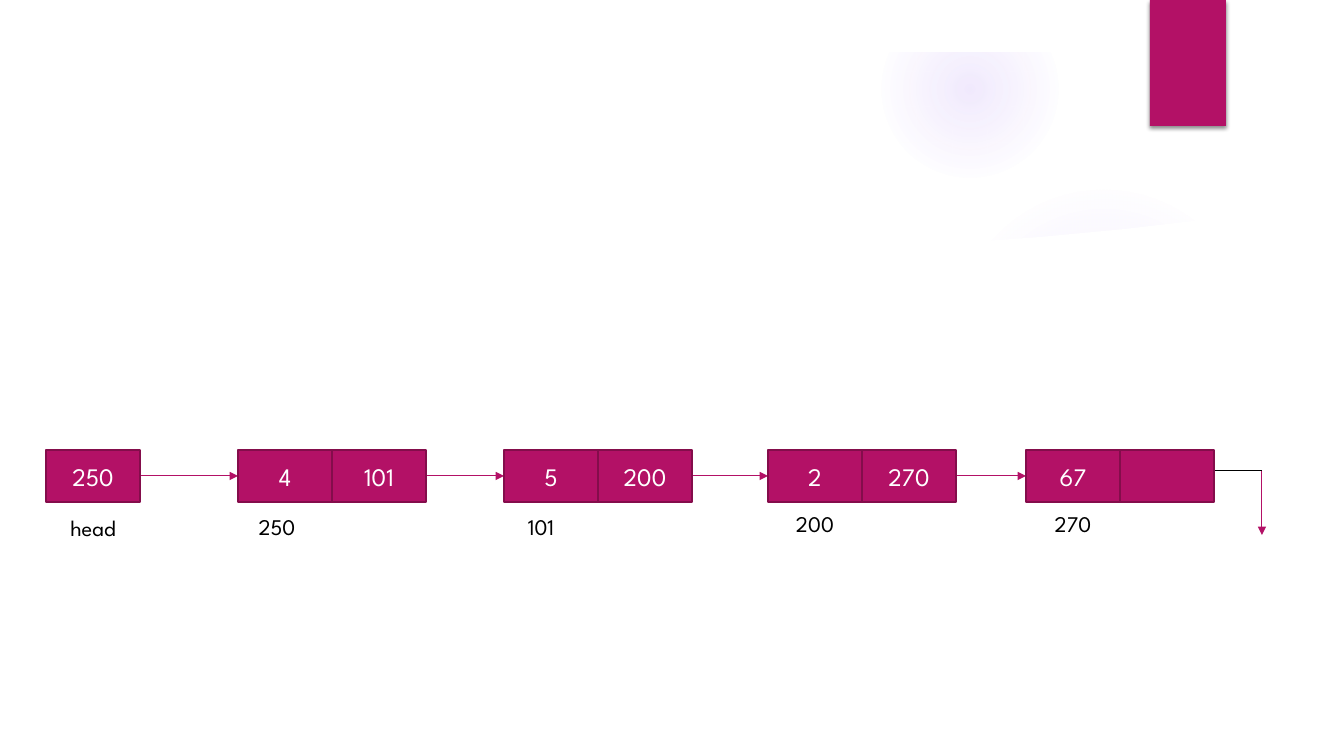
import pptx
import pptx.dml.color
import pptx.enum.shapes
import pptx.enum.text
import pptx.oxml
import pptx.oxml.ns
import pptx.util

# Each node: (left, cell texts, label, label left, label top)
NODES = [
    (46, ["250"], "head", 46, 515),
    (238, ["4", "101"], "250", 230, 514),
    (504, ["5", "200"], "101", 494, 514),
    (768, ["2", "270"], "200", 768, 511),
    (1026, ["67", ""], "270", 1026, 511),
]
CELL_WIDTH, CELL_HEIGHT, CELL_TOP = 94, 52, 450
LABEL_HEIGHT = 25
NULL_X, NULL_TOP, NULL_BOTTOM = 1262, 471, 535

# Each glow: (left, top, size, [(stop percent, opacity percent)])
GLOWS = [
    (949, 184, 310, [(0, 7), (36, 6), (69, 0)]),
    (882, 1, 176, [(0, 14), (36, 7), (73, 0)]),
]
WAVE = [
    (50, 206), (136, 215), (252, 226), (404, 238), (539, 245), (688, 250),
    (847, 248), (957, 243), (1040, 237), (1125, 229), (1210, 219),
    (1294, 206), (1294, 706), (50, 706),
]

PX = 914400 / 100.8
FONT = "League Spartan"
MAGENTA = pptx.dml.color.RGBColor(0xB3, 0x11, 0x66)
PLUM = pptx.dml.color.RGBColor(0x84, 0x0D, 0x4B)
VIOLET = pptx.dml.color.RGBColor(0x9B, 0x6B, 0xF2)
WHITE = pptx.dml.color.RGBColor(0xFF, 0xFF, 0xFF)
BLACK = pptx.dml.color.RGBColor(0, 0, 0)
SHAPES = pptx.enum.shapes.MSO_SHAPE
NAMESPACE = pptx.oxml.ns.nsdecls("a")


def emu(*lengths):
    return [round(length * PX) for length in lengths]


def paint(shape, fill, line=None):
    shape.shadow.inherit = False
    shape.fill.solid()
    shape.fill.fore_color.rgb = fill
    if line is None:
        shape.line.fill.background()
    else:
        shape.line.color.rgb = line
        shape.line.width = pptx.util.Pt(1.5)


def add_box(page, left, top, width, height, fill, line=None):
    box = page.shapes.add_shape(SHAPES.RECTANGLE, *emu(left, top, width, height))
    paint(box, fill, line)
    return box


def write(box, text, size, color):
    box.text_frame.text = text
    box.text_frame.vertical_anchor = pptx.enum.text.MSO_ANCHOR.MIDDLE
    para = box.text_frame.paragraphs[0]
    para.alignment = pptx.enum.text.PP_ALIGN.CENTER
    for span in para.runs:
        span.font.name = FONT
        span.font.size = pptx.util.Pt(size)
        span.font.color.rgb = color


def add_glow(page, left, top, size, stops):
    """Add a circle that fades from its centre to nothing."""
    glow = page.shapes.add_shape(SHAPES.OVAL, *emu(left, top, size, size))
    paint(glow, VIOLET)
    stop_xml = "".join(
        f'<a:gs pos="{place * 1000}"><a:srgbClr val="{VIOLET}">'
        f'<a:alpha val="{opacity * 1000}"/></a:srgbClr></a:gs>'
        for place, opacity in stops)
    gradient = pptx.oxml.parse_xml(
        f'<a:gradFill {NAMESPACE}><a:gsLst>{stop_xml}</a:gsLst>'
        '<a:path path="circle"><a:fillToRect l="50000" t="50000" r="50000" b="50000"/>'
        '</a:path></a:gradFill>')
    properties = glow.element.spPr
    properties.replace(properties.find(pptx.oxml.ns.qn("a:solidFill")), gradient)


def add_backdrop(page):
    for glow in GLOWS:
        add_glow(page, *glow)
    builder = page.shapes.build_freeform(*WAVE[0], scale=PX)
    builder.add_line_segments(WAVE[1:], close=True)
    paint(builder.convert_to_shape(), WHITE)
    add_box(page, 0, 0, 1344, 52, WHITE)
    tab = add_box(page, 1150, 0, 76, 126, MAGENTA)
    effects = tab.element.spPr.find(pptx.oxml.ns.qn("a:effectLst"))
    effects.append(pptx.oxml.parse_xml(
        f'<a:outerShdw {NAMESPACE} blurRad="38100" dist="25400" dir="5400000" rotWithShape="0">'
        '<a:srgbClr val="000000"><a:alpha val="45000"/></a:srgbClr></a:outerShdw>'))


def add_link(page, start, end, color=MAGENTA, arrow=True):
    link = page.shapes.add_connector(
        pptx.enum.shapes.MSO_CONNECTOR.STRAIGHT, *emu(*start, *end))
    link.line.color.rgb = color
    link.line.width = pptx.util.Pt(0.75)
    if arrow:
        link.line._get_or_add_ln().append(
            pptx.oxml.parse_xml(f'<a:tailEnd {NAMESPACE} type="triangle"/>'))
    link.element.spPr.append(pptx.oxml.parse_xml(f"<a:effectLst {NAMESPACE}/>"))


def add_links(page):
    middle = CELL_TOP + CELL_HEIGHT / 2
    for (left, cells, *_), following in zip(NODES, NODES[1:]):
        right = left + len(cells) * CELL_WIDTH
        add_link(page, (right, middle), (following[0], middle))
    null_start = NODES[-1][0] + CELL_WIDTH * 1.5
    add_link(page, (null_start, NULL_TOP), (NULL_X, NULL_TOP), BLACK, arrow=False)
    add_link(page, (NULL_X, NULL_TOP), (NULL_X, NULL_BOTTOM))


def add_nodes(page):
    for left, cells, label, label_left, label_top in NODES:
        for index, text in enumerate(cells):
            cell = add_box(page, left + index * CELL_WIDTH, CELL_TOP,
                           CELL_WIDTH, CELL_HEIGHT, MAGENTA, PLUM)
            if text:
                write(cell, text, 18, WHITE)
        caption = add_box(page, label_left, label_top, CELL_WIDTH, LABEL_HEIGHT, WHITE, WHITE)
        write(caption, label, 16, BLACK)


def main():
    deck = pptx.Presentation()
    deck.slide_width, deck.slide_height = emu(1344, 756)
    page = deck.slides.add_slide(deck.slide_layouts[6])
    add_backdrop(page)
    add_links(page)
    add_nodes(page)
    deck.save("out.pptx")


if __name__ == "__main__":
    main()
